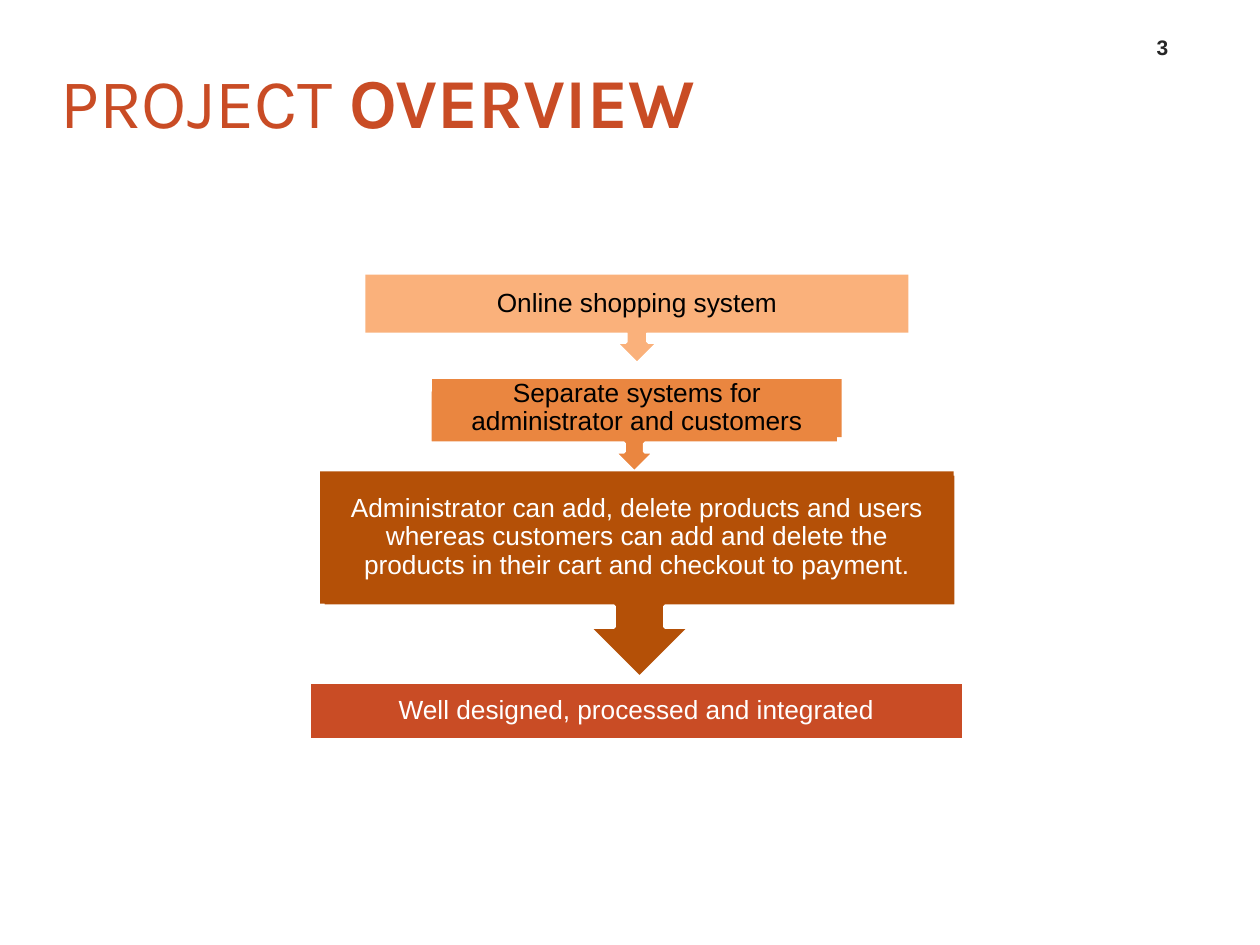
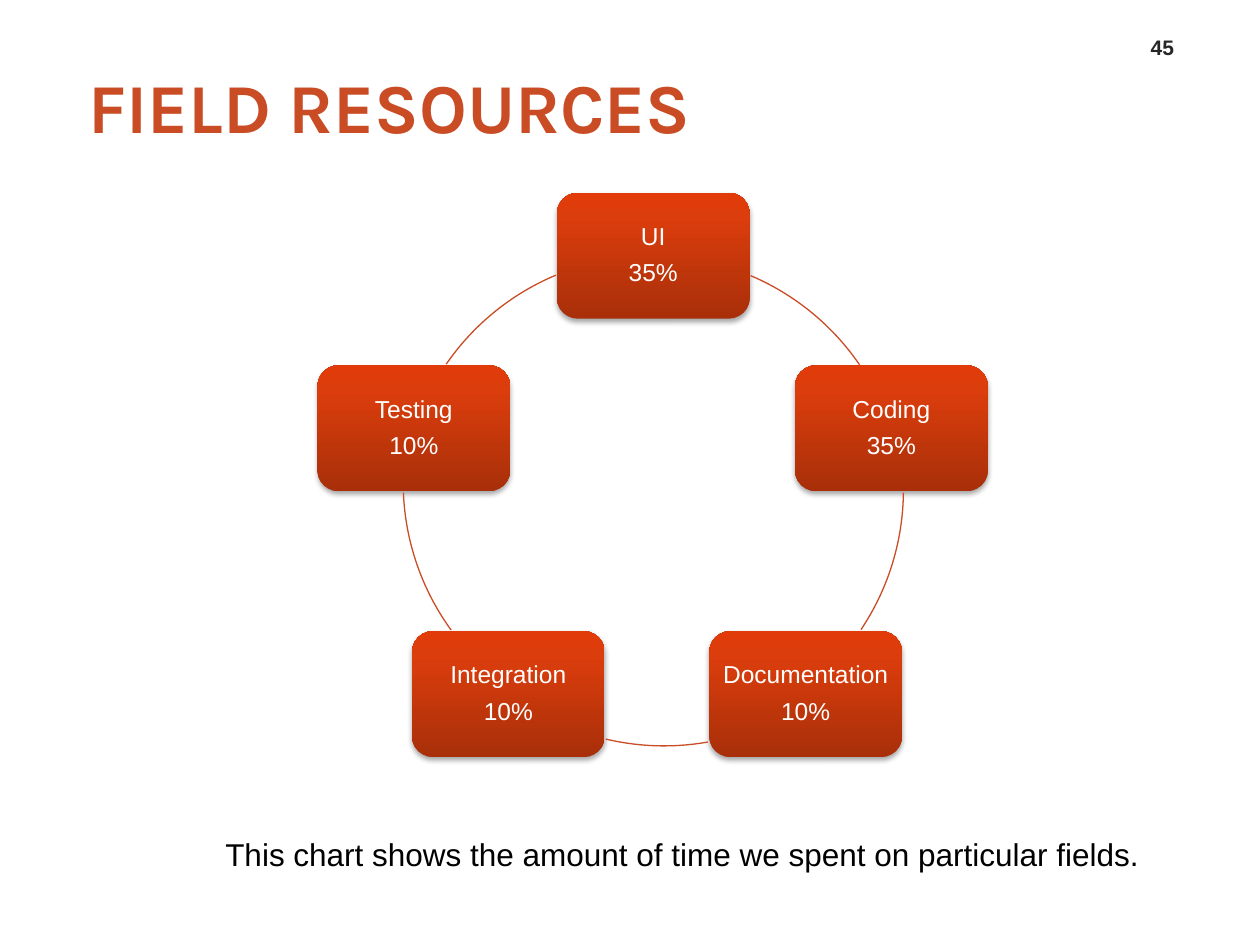
from lxml import etree
from pptx import Presentation
from pptx import util as u
from pptx.dml.color import RGBColor
from pptx.enum import shapes, text
from pptx.oxml.ns import qn

ACCENT, INK, BLACK, WHITE = "C94C25", "262626", "000000", "FFFFFF"
TITLE_FONT, BODY_FONT = "Karla", "Arial"

# Runs are (text, bold)
OVERVIEW = {"title": [("PROJECT ", False), ("OVERVIEW", True)],
            "title_box": (0.28, 0.36, 5.6, 0.87), "number": "3"}
RESOURCES = {"title": [("FIELD RESOURCES", True)],
             "title_box": (0.5, 0.4, 5.33, 0.87), "number": "45"}

# Text, fill, text colour, box, arrow callout behind the box
STEPS = [
    ("Online shopping system", "FAB17B", BLACK,
     (2.9, 2.18, 4.31, 0.46), (2.9, 2.18, 4.31, 0.71)),
    ("Separate systems for administrator and customers", "EA8640", BLACK,
     (3.43, 3.01, 3.25, 0.46), (3.41, 3.09, 3.25, 0.66)),
    ("Administrator can add, delete products and users whereas customers can add "
     "and delete the products in their cart and checkout to payment.", "B45007", WHITE,
     (2.54, 3.74, 5.03, 1.05), (2.56, 3.76, 5.03, 1.62)),
    ("Well designed, processed and integrated", ACCENT, WHITE,
     (2.45, 5.41, 5.2, 0.46), None),
]

# Field, share, left, top
FIELDS = [
    ("UI", "35%", 4.42, 1.53),
    ("Coding", "35%", 6.31, 2.9),
    ("Documentation", "10%", 5.63, 5.01),
    ("Integration", "10%", 3.27, 5.01),
    ("Testing", "10%", 2.52, 2.9),
]
FIELD_SIZE = (1.53, 1)
FIELD_GRADIENT = [(0, "A82F09"), (80, "DB3D0C"), (100, "E03B08")]

# Circle left and top, start and end angle in degrees clockwise from the right
ARCS = [
    (3.19, 2.03, 293, 325.6),
    (3.19, 1.9, 0.6, 33.8),
    (3.28, 1.94, 79.9, 103.4),
    (3.2, 1.84, 144, 177.7),
    (3.19, 2.03, 214.6, 247.3),
]
RING_SIZE = 3.98
CAPTION = "This chart shows the amount of time we spent on particular fields."


def color(value):
    return RGBColor.from_string(value)


def inches(box):
    return [u.Inches(n) for n in box]


def child(parent, tag, **attributes):
    return etree.SubElement(parent, qn(tag), {k: str(v) for k, v in attributes.items()})


def style(run, size, fill, font=BODY_FONT, bold=False):
    run.font.size, run.font.name, run.font.bold = u.Pt(size), font, bold
    run.font.color.rgb = color(fill)


def set_margins(tf, x, y):
    tf.margin_left = tf.margin_right = u.Inches(x)
    tf.margin_top = tf.margin_bottom = u.Inches(y)


def add_text(slide, box, words, size, fill, bold=False, align=None, anchor=None):
    tf = slide.shapes.add_textbox(*inches(box)).text_frame
    tf.word_wrap = True
    tf.vertical_anchor = anchor
    p = tf.paragraphs[0]
    p.text, p.alignment = words, align
    style(p.runs[0], size, fill, bold=bold)


def add_shape(slide, kind, box, fill=None, line=None, width=2.25):
    sp = slide.shapes.add_shape(kind, *inches(box))
    sp.shadow.inherit = False
    if fill:
        sp.fill.solid()
        sp.fill.fore_color.rgb = color(fill)
    if line:
        sp.line.color.rgb = color(line)
        sp.line.width = u.Pt(width)
    else:
        sp.line.fill.background()
    return sp


def label(sp, lines, size, fill, margin):
    """Write centred, tightly set lines into a shape."""
    tf = sp.text_frame
    tf.word_wrap = True
    tf.vertical_anchor = text.MSO_ANCHOR.MIDDLE
    set_margins(tf, margin, margin)
    tf.text = "\n".join(lines)
    for p in tf.paragraphs:
        p.alignment, p.line_spacing = text.PP_ALIGN.CENTER, 0.9
        p.space_after = u.Pt(0.4 * size)
        style(p.runs[0], size, fill)


def add_gradient(sp, stops):
    grad = etree.Element(qn("a:gradFill"), rotWithShape="1")
    stop_list = child(grad, "a:gsLst")
    for position, value in stops:
        child(child(stop_list, "a:gs", pos=position * 1000), "a:srgbClr", val=value)
    child(grad, "a:lin", ang=270 * 60000, scaled=0)
    sp.element.spPr.find(qn("a:prstGeom")).addnext(grad)


def add_drop_shadow(sp):
    effects = sp.element.spPr.find(qn("a:effectLst"))
    shadow = child(effects, "a:outerShdw", blurRad=u.Pt(3.1), dist=u.Pt(1.8),
                   dir=90 * 60000, rotWithShape=0)
    child(child(shadow, "a:srgbClr", val=BLACK), "a:alpha", val=35000)


def new_slide(prs, head):
    """Add a blank slide with the shared title and slide number."""
    slide = prs.slides.add_slide(prs.slide_layouts[6])
    tf = slide.shapes.add_textbox(*inches(head["title_box"])).text_frame
    tf.word_wrap = True
    tf.vertical_anchor = text.MSO_ANCHOR.MIDDLE
    set_margins(tf, 0, 0.05)
    p = tf.paragraphs[0]
    p._p.get_or_add_pPr().set("marL", str(u.Inches(0.2)))
    for words, bold in head["title"]:
        r = p.add_run()
        r.text = words
        style(r, 40, ACCENT, TITLE_FONT, bold)
    add_text(slide, (8.95, 0.19, 0.55, 0.33), head["number"], 12, INK, bold=True,
             align=text.PP_ALIGN.CENTER, anchor=text.MSO_ANCHOR.BOTTOM)
    return slide


def build_overview(prs):
    slide = new_slide(prs, OVERVIEW)
    for words, fill, ink, box, arrow in STEPS:
        if arrow:
            callout = add_shape(slide, shapes.MSO_SHAPE.UP_ARROW_CALLOUT, arrow, fill, WHITE)
            callout.rotation = 180
        step = add_shape(slide, shapes.MSO_SHAPE.RECTANGLE, box, fill,
                         None if arrow else WHITE)
        label(step, [words], 15, ink, 0.12)


def build_resources(prs):
    slide = new_slide(prs, RESOURCES)
    for name, share, left, top in FIELDS:
        node = add_shape(slide, shapes.MSO_SHAPE.ROUNDED_RECTANGLE, (left, top, *FIELD_SIZE))
        add_gradient(node, FIELD_GRADIENT)
        add_drop_shadow(node)
        label(node, [name, share], 14, WHITE, 0.06)
    for left, top, *angles in ARCS:
        arc = add_shape(slide, shapes.MSO_SHAPE.ARC, (left, top, RING_SIZE, RING_SIZE),
                        line=ACCENT, width=0.75)
        arc.fill.background()
        for i, angle in enumerate(angles):
            arc.adjustments[i] = angle * 0.6  # 60000 units a degree, scaled by 100000
    add_text(slide, (1.69, 6.58, 8.03, 0.4), CAPTION, 18, BLACK)


def main():
    prs = Presentation()
    prs.slide_width, prs.slide_height = u.Inches(10), u.Inches(7.5)
    build_overview(prs)
    build_resources(prs)
    prs.save("out.pptx")


if __name__ == "__main__":
    main()
